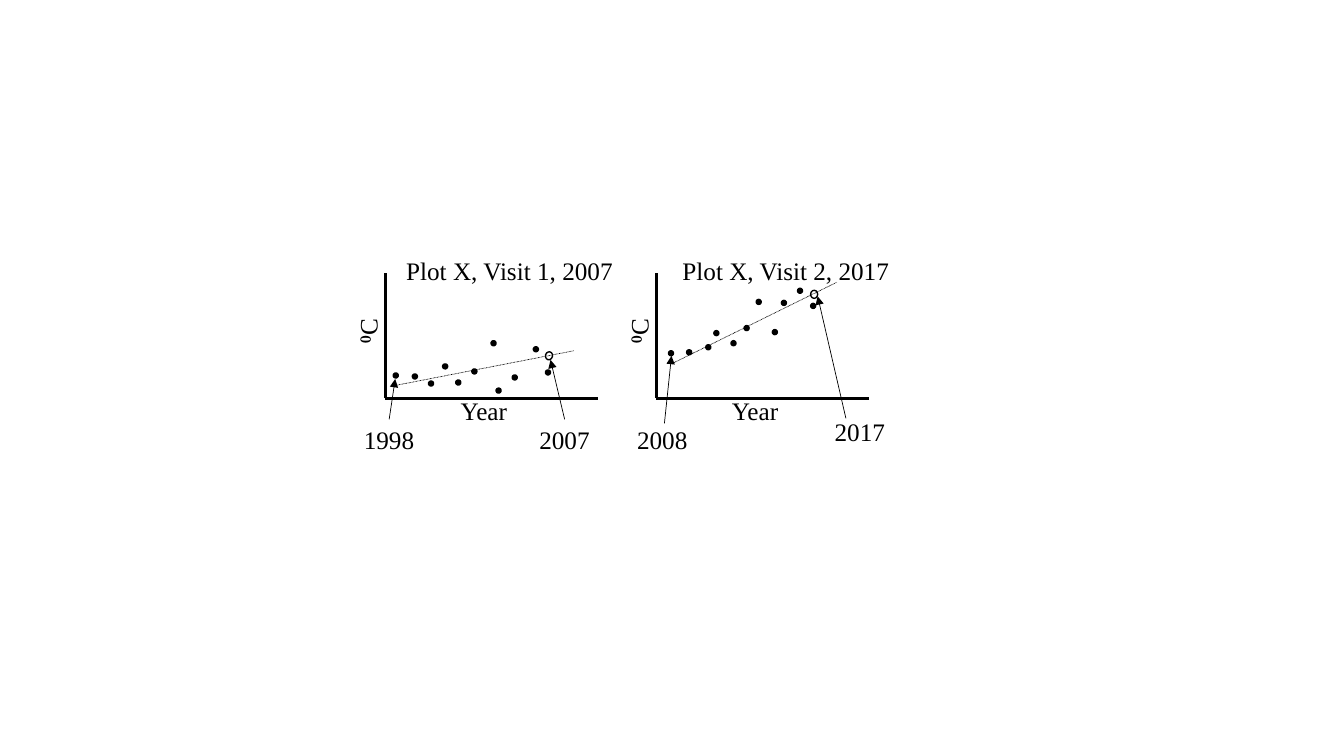
from dataclasses import dataclass

from lxml import etree
from pptx import Presentation
from pptx.dml.color import RGBColor
from pptx.enum.dml import MSO_LINE
from pptx.enum.shapes import MSO_CONNECTOR, MSO_SHAPE
from pptx.enum.text import MSO_AUTO_SIZE
from pptx.oxml.ns import qn
from pptx.shapes.autoshape import Shape
from pptx.shapes.connector import Connector
from pptx.shapes.shapetree import GroupShapes
from pptx.util import Inches, Pt

BLACK = RGBColor(0, 0, 0)
FONT = "Times New Roman"
STRAIGHT = MSO_CONNECTOR.STRAIGHT
ELLIPSE = MSO_SHAPE.OVAL
DOTTED = MSO_LINE.ROUND_DOT
FIT_SHAPE = MSO_AUTO_SIZE.SHAPE_TO_FIT_TEXT

AXIS_TOP, AXIS_BOTTOM, AXIS_WIDTH = 2.71, 3.95, 2.11
DOT_SIZE = 0.05
TEXT_HEIGHT = 0.4
YEAR_WIDTH = 0.71

Point = tuple[float, float]


@dataclass
class YearMark:
    text: str
    corner: Point
    start: Point
    end: Point


@dataclass
class Plot:
    title: str
    title_left: float
    axis_left: float
    marker_tilt: float
    dots: list[Point]
    trend: tuple[Point, Point]
    estimate: Point
    years: list[YearMark]


PLOTS = [
    Plot(
        "Plot X, Visit 1, 2007", 3.93, 3.82, 15.2,
        [(3.9, 3.7), (4.09, 3.71), (4.25, 3.78), (4.39, 3.61),
         (4.52, 3.77), (4.68, 3.66), (4.87, 3.38), (4.92, 3.85),
         (5.08, 3.72), (5.29, 3.44), (5.41, 3.67)],
        ((3.89, 3.83), (5.69, 3.48)),
        (5.41, 3.49),
        [YearMark("1998", (3.51, 4.16), (3.86, 4.16), (3.92, 3.76)),
         YearMark("2007", (5.25, 4.16), (5.6, 4.16), (5.46, 3.57))],
    ),
    Plot(
        "Plot X, Visit 2, 2017", 6.67, 6.51, 0,
        [(6.63, 3.48), (6.81, 3.47), (7, 3.42), (7.08, 3.28),
         (7.25, 3.38), (7.38, 3.23), (7.5, 2.97), (7.66, 3.27),
         (7.75, 2.98), (7.91, 2.86), (8.04, 3.01)],
        ((6.66, 3.61), (8.3, 2.8)),
        (8.04, 2.88),
        [YearMark("2008", (6.22, 4.16), (6.59, 4.2), (6.66, 3.53)),
         YearMark("2017", (8.18, 4.08), (8.39, 4.15), (8.11, 2.94))],
    ),
]


def add_line(shapes: GroupShapes, start: Point, end: Point, weight: float) -> Connector:
    line = shapes.add_connector(STRAIGHT, *map(Inches, start + end))
    line.line.color.rgb = BLACK
    line.line.width = Pt(weight)
    etree.SubElement(line._element.spPr, qn("a:effectLst"))
    return line


def add_arrow(shapes: GroupShapes, start: Point, end: Point) -> None:
    arrow = add_line(shapes, start, end, 0.5)
    outline = arrow.line._get_or_add_ln()
    etree.SubElement(outline, qn("a:tailEnd"), type="triangle")


def add_marker(shapes: GroupShapes, corner: Point, size: Point, tilt: float) -> Shape:
    """Add an unfilled ellipse with a thin black outline."""
    marker = shapes.add_shape(ELLIPSE, *map(Inches, corner + size))
    marker.rotation = tilt
    marker.shadow.inherit = False
    marker.fill.background()
    marker.line.color.rgb = BLACK
    marker.line.width = Pt(1)
    return marker


def add_label(shapes: GroupShapes, text: str, corner: Point, width: float) -> Shape:
    box = shapes.add_textbox(*map(Inches, corner + (width, TEXT_HEIGHT)))
    box.text_frame.word_wrap = False
    box.text_frame.auto_size = FIT_SHAPE
    para = box.text_frame.paragraphs[0]
    para.text = text
    para.font.name = FONT
    para.font.size = Pt(18)
    para.font.color.rgb = BLACK
    return box


def add_plot(shapes: GroupShapes, plot: Plot) -> None:
    left = plot.axis_left
    origin = (left, AXIS_BOTTOM)
    add_line(shapes, (left, AXIS_TOP), origin, 2.25)
    add_line(shapes, (left + AXIS_WIDTH, AXIS_BOTTOM), origin, 2.25)

    for corner in plot.dots:
        dot = add_marker(shapes, corner, (DOT_SIZE, DOT_SIZE), plot.marker_tilt)
        dot.fill.solid()
        dot.fill.fore_color.rgb = BLACK

    trend = add_line(shapes, *plot.trend, 0.5)
    trend.line.dash_style = DOTTED
    add_marker(shapes, plot.estimate, (0.07, 0.08), plot.marker_tilt)

    add_label(shapes, "Year", (left + 0.65, 3.87), 0.67)
    unit = add_label(shapes, "⁰C", (left - 0.4, 3.08), 0.45)
    unit.rotation = 270
    add_label(shapes, plot.title, (plot.title_left, 2.48), 2.27)

    for year in plot.years:
        add_label(shapes, year.text, year.corner, YEAR_WIDTH)
        add_arrow(shapes, year.start, year.end)


def main() -> None:
    deck = Presentation()
    deck.slide_width = Inches(13.33)
    deck.slide_height = Inches(7.5)
    page = deck.slides.add_slide(deck.slide_layouts.get_by_name("Blank"))
    for plot in PLOTS:
        group = page.shapes.add_group_shape()
        group.name = plot.title
        add_plot(group.shapes, plot)
    deck.save("out.pptx")


if __name__ == "__main__":
    main()
